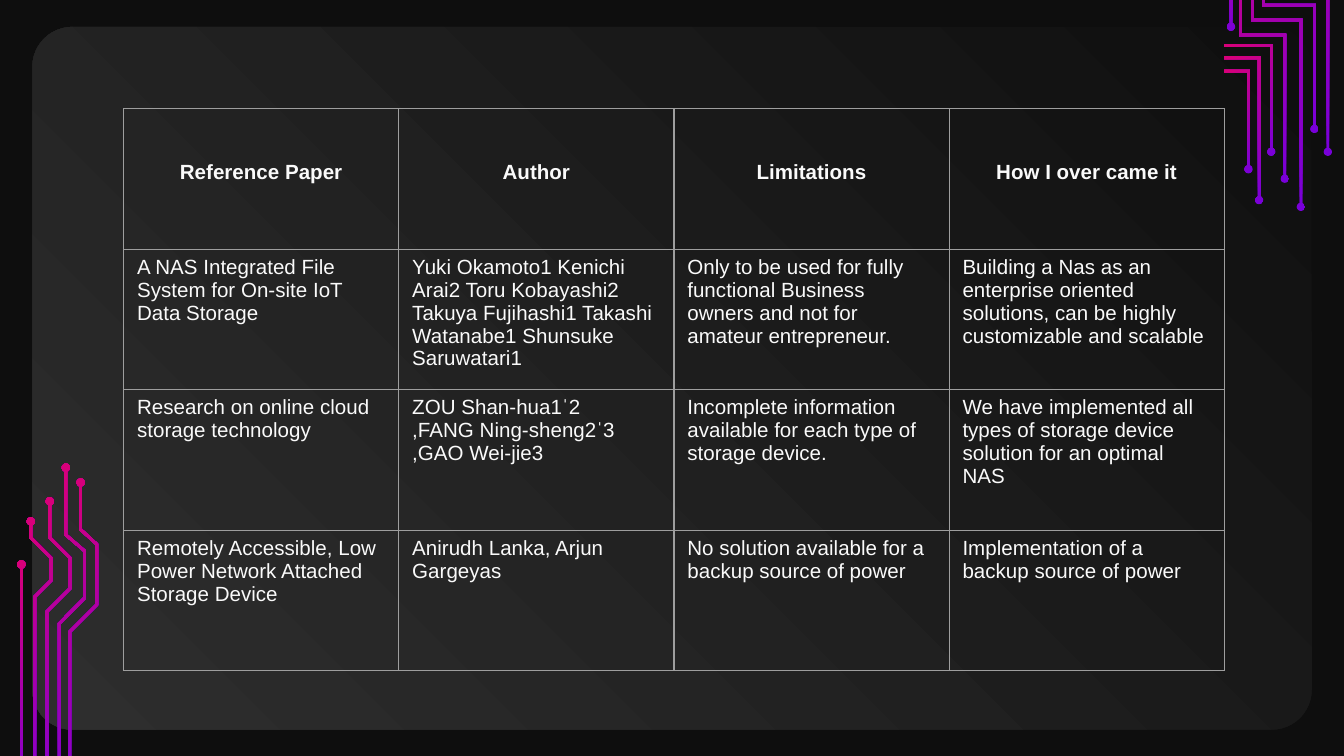
import math

from lxml import etree
from pptx import Presentation
from pptx.dml.color import RGBColor
from pptx.enum.shapes import MSO_SHAPE
from pptx.enum.text import PP_ALIGN
from pptx.oxml.ns import qn
from pptx.util import Inches, Pt

ROUNDED = MSO_SHAPE.ROUNDED_RECTANGLE
LEFT, CENTER = PP_ALIGN.LEFT, PP_ALIGN.CENTER

COLORS = {
    "background": "0E0E0E",
    "panel_dark": "0F0F0F",
    "panel_light": "2E2E2E",
    "violet": "7800DA",
    "pink": "DA0078",
    "text": "FAFAFA",
    "border": "9E9E9E",
}
FONT = "Arial"
SLIDE_WIDTH = 10
SLIDE_HEIGHT = SLIDE_WIDTH * 9 / 16
TRACE_WIDTH = 0.02
PAD_RADIUS = 0.03
PAD_STEPS = 24

LEFT_TRACES = [
    [(0.5, 0.19), (0.5, 0.54), (0.62, 0.65), (0.62, 1.1), (0.42, 1.3), (0.42, 2.65)],
    [(0.39, 0.08), (0.39, 0.58), (0.53, 0.7), (0.53, 1.05), (0.34, 1.24), (0.34, 2.65)],
    [(0.27, 0.33), (0.27, 0.6), (0.42, 0.75), (0.42, 0.98), (0.25, 1.15), (0.25, 2.65)],
    [(0.13, 0.48), (0.13, 0.6), (0.28, 0.75), (0.28, 0.92), (0.16, 1.04), (0.16, 2.65)],
    [(0.06, 0.8), (0.06, 2.65)],
]
RIGHT_TRACES = [
    [(0.05, 0.2), (0.05, -0.64), (0, -0.64)],
    [(0.18, 1.26), (0.18, 0.53), (0, 0.53)],
    [(0.26, 1.49), (0.26, 0.43), (0, 0.43)],
    [(0.35, 1.13), (0.35, 0.34), (0, 0.34)],
    [(0.45, 1.33), (0.45, 0.26), (0.12, 0.26), (0.12, -0.72), (0, -0.72)],
    [(0.57, 1.54), (0.57, 0.15), (0.21, 0.15), (0.21, -1.59)],
    [(0.67, 0.96), (0.67, 0.04), (0.29, 0.04), (0.29, -1.59)],
    [(0.77, 1.13), (0.77, -0.07), (0.39, -0.07), (0.39, -1.59)],
]
PAPERS = [
    ["Reference Paper", "Author", "Limitations", "How I over came it"],
    [
        "A NAS Integrated File System for On-site IoT Data Storage",
        "Yuki Okamoto1 Kenichi Arai2 Toru Kobayashi2 Takuya Fujihashi1 "
        "Takashi Watanabe1 Shunsuke Saruwatari1",
        "Only to be used for fully functional Business owners and not for "
        "amateur entrepreneur.",
        "Building a Nas as an enterprise oriented solutions, can be highly "
        "customizable and scalable",
    ],
    [
        "Research on online cloud storage technology",
        "ZOU Shan-hua1ˈ2\n,FANG Ning-sheng2ˈ3\n,GAO Wei-jie3",
        "Incomplete information available for each type of storage device.",
        "We have implemented all types of storage device solution for an optimal NAS",
    ],
    [
        "Remotely Accessible, Low Power Network Attached\nStorage Device",
        "Anirudh Lanka, Arjun Gargeyas",
        "No solution available for a backup source of power",
        "Implementation of a backup source of power",
    ],
]


def color(name):
    """Return the named colour."""
    return RGBColor.from_string(COLORS[name])


def write_text(text_frame, text, size=11, bold=False, align=LEFT, spacing=1.0):
    """Write text, one paragraph a line, in one format."""
    text_frame.text = text
    for paragraph in text_frame.paragraphs:
        paragraph.alignment = align
        paragraph.line_spacing = spacing
        for run in paragraph.runs:
            run.font.name = FONT
            run.font.size = Pt(size)
            run.font.bold = bold
            run.font.color.rgb = color("text")


def paint_gradient(shape, names, angle):
    """Give a shape a two-colour gradient without line or shadow."""
    shape.shadow.inherit = False
    shape.line.fill.background()
    shape.fill.gradient()
    shape.fill.gradient_angle = angle
    for stop, name in zip(shape.fill.gradient_stops, names):
        stop.color.rgb = color(name)


def trace_outline(points):
    """Return the outline of a round pad and the mitred band that leaves it."""
    half = TRACE_WIDTH / 2
    angles = [math.atan2(y2 - y1, x2 - x1)
              for (x1, y1), (x2, y2) in zip(points, points[1:])]
    (pad_x, pad_y), gap = points[0], math.asin(half / PAD_RADIUS)
    sweep = 2 * (math.pi - gap)
    turns = [angles[0] + gap + sweep * step / PAD_STEPS for step in range(PAD_STEPS + 1)]
    pad = [(pad_x + PAD_RADIUS * math.cos(turn), pad_y + PAD_RADIUS * math.sin(turn))
           for turn in turns]
    near, far = [], []
    for (x, y), before, after in zip(points[1:], angles, angles[1:] + angles[-1:]):
        reach = half / (1 + math.cos(after - before))
        shift_x = -reach * (math.sin(before) + math.sin(after))
        shift_y = reach * (math.cos(before) + math.cos(after))
        near.append((x - shift_x, y - shift_y))
        far.append((x + shift_x, y + shift_y))
    return pad + near + far[::-1]


def add_circuit(slide, left, top, traces):
    """Draw a bundle of circuit traces from a corner point."""
    for points in traces:
        outline = [(Inches(left + x), Inches(top + y)) for x, y in trace_outline(points)]
        builder = slide.shapes.build_freeform(*outline[0])
        builder.add_line_segments(outline[1:], close=True)
        paint_gradient(builder.convert_to_shape(), ["violet", "pink"], 135)


def add_panel(slide, left, top, width, height):
    """Draw the rounded panel behind the content."""
    panel = slide.shapes.add_shape(
        ROUNDED, Inches(left), Inches(top), Inches(width), Inches(height))
    panel.adjustments[0] = 0.057
    paint_gradient(panel, ["panel_dark", "panel_light"], 225)


def add_borders(cell):
    """Draw a thin line on the four sides of a cell."""
    properties = cell._tc.get_or_add_tcPr()
    for index, side in enumerate(("a:lnL", "a:lnR", "a:lnT", "a:lnB")):
        line = etree.Element(qn(side), w=str(Pt(0.75)))
        fill = etree.SubElement(line, qn("a:solidFill"))
        etree.SubElement(fill, qn("a:srgbClr"), val=COLORS["border"])
        properties.insert(index, line)


def add_paper_table(slide, left, top, width, height, rows):
    """Place the table of papers in equal rows and columns."""
    table = slide.shapes.add_table(
        len(rows), len(rows[0]),
        Inches(left), Inches(top), Inches(width), Inches(height)).table
    table.first_row = table.horz_banding = False
    for row_index, texts in enumerate(rows):
        header = row_index == 0
        for column_index, text in enumerate(texts):
            cell = table.cell(row_index, column_index)
            cell.fill.background()
            add_borders(cell)
            write_text(cell.text_frame, text, bold=header,
                       align=CENTER if header else LEFT,
                       spacing=3.0 if header else 1.0)


def main():
    """Build and save the slide."""
    presentation = Presentation()
    presentation.slide_width = Inches(SLIDE_WIDTH)
    presentation.slide_height = Inches(SLIDE_HEIGHT)
    slide = presentation.slides.add_slide(presentation.slide_layouts[6])
    slide.background.fill.solid()
    slide.background.fill.fore_color.rgb = color("background")
    add_panel(slide, 0.24, 0.2, 9.52, 5.23)
    add_circuit(slide, 0.1, 3.4, LEFT_TRACES)
    add_circuit(slide, 9.11, 0, RIGHT_TRACES)
    add_paper_table(slide, 0.92, 0.81, 8.19, 4.18, PAPERS)
    presentation.save("out.pptx")


if __name__ == "__main__":
    main()
